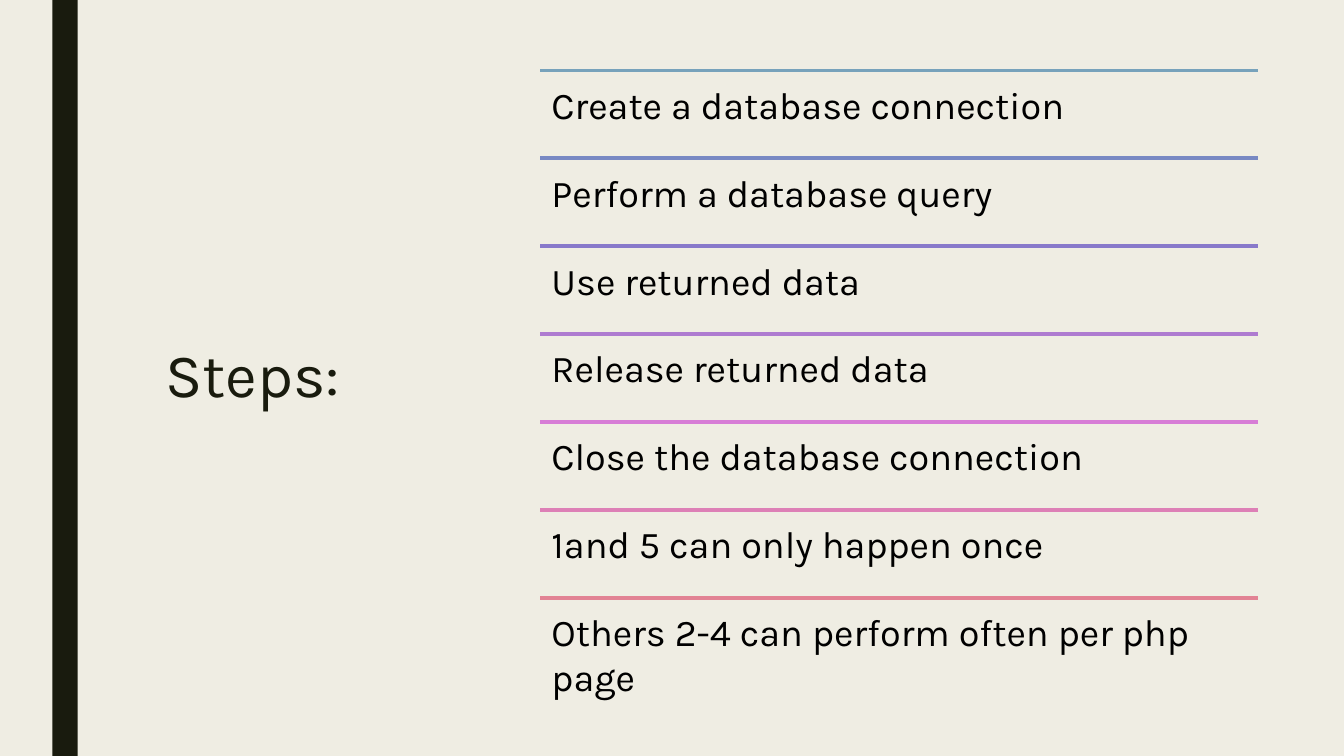
import dataclasses

import lxml.etree
import pptx
import pptx.dml.color
import pptx.enum.shapes
import pptx.enum.text
import pptx.oxml.ns
import pptx.util

Inches = pptx.util.Inches

COLOURS = {
    "background": "EFEDE3",
    "dark": "191B0E",
    "text": "000000",
    "blue": "77A2BB",
    "indigo": "7889C3",
    "violet": "8879CA",
    "purple": "AE7BD0",
    "orchid": "D77DD6",
    "pink": "DD80B6",
    "coral": "E28394",
}
FONT = "Karla"
LIST_LEFT, LIST_TOP, LIST_WIDTH, LIST_HEIGHT = 5.36, 0.7, 7.12, 6.1


@dataclasses.dataclass
class Step:
    text: str
    colour: str


STEPS = [
    Step("Create a database connection", "blue"),
    Step("Perform a database query", "indigo"),
    Step("Use returned data", "violet"),
    Step("Release returned data", "purple"),
    Step("Close the database connection", "orchid"),
    Step("1and 5 can only happen once", "pink"),
    Step("Others 2-4 can perform often per php page", "coral"),
]


def rgb(name: str) -> pptx.dml.color.RGBColor:
    return pptx.dml.color.RGBColor.from_string(COLOURS[name])


def write_text(shape, text: str, *, size: float, colour: str, align, anchor,
               inset: float, line_spacing: float = 1.0) -> None:
    frame = shape.text_frame
    frame.word_wrap = True
    frame.auto_size = pptx.enum.text.MSO_AUTO_SIZE.NONE
    frame.vertical_anchor = anchor
    frame.margin_left = frame.margin_right = Inches(inset)
    frame.margin_top = frame.margin_bottom = Inches(inset)
    paragraph = frame.paragraphs[0]
    paragraph.alignment = align
    paragraph.line_spacing = line_spacing
    run = paragraph.add_run()
    run.text = text
    run.font.name = FONT
    run.font.size = pptx.util.Pt(size)
    run.font.color.rgb = rgb(colour)


def add_side_bar(slide) -> None:
    bar = slide.shapes.add_shape(
        pptx.enum.shapes.MSO_SHAPE.RECTANGLE,
        Inches(0.52), Inches(0), Inches(0.25), Inches(7.5))
    bar.shadow.inherit = False
    bar.fill.solid()
    bar.fill.fore_color.rgb = rgb("dark")
    bar.line.fill.background()


def add_title(slide, text: str) -> None:
    title = slide.shapes.title
    title.left, title.top = Inches(0.7), Inches(0.7)
    title.width, title.height = Inches(3.61), Inches(6.1)
    write_text(title, text, size=44, colour="dark", inset=0.1, line_spacing=0.89,
               align=pptx.enum.text.PP_ALIGN.CENTER,
               anchor=pptx.enum.text.MSO_ANCHOR.MIDDLE)


def add_step(slide, step: Step, top: float, height: float) -> None:
    # Coloured rule above the step
    rule = slide.shapes.add_connector(
        pptx.enum.shapes.MSO_CONNECTOR.STRAIGHT,
        Inches(LIST_LEFT), Inches(top), Inches(LIST_LEFT + LIST_WIDTH), Inches(top))
    rule.line.color.rgb = rgb(step.colour)
    rule.line.width = pptx.util.Pt(2.75)
    lxml.etree.SubElement(rule._element.spPr, pptx.oxml.ns.qn("a:effectLst"))

    # Step wording
    box = slide.shapes.add_textbox(
        Inches(LIST_LEFT), Inches(top), Inches(LIST_WIDTH), Inches(height))
    write_text(box, step.text, size=27, colour="text", inset=0.11,
               align=pptx.enum.text.PP_ALIGN.LEFT,
               anchor=pptx.enum.text.MSO_ANCHOR.TOP)


def main() -> None:
    presentation = pptx.Presentation()
    presentation.slide_width = Inches(13.33)
    presentation.slide_height = Inches(7.5)
    slide = presentation.slides.add_slide(presentation.slide_layouts[5])
    slide.background.fill.solid()
    slide.background.fill.fore_color.rgb = rgb("background")

    add_side_bar(slide)
    add_title(slide, "Steps:")

    # Steps share the list height equally
    row_height = LIST_HEIGHT / len(STEPS)
    for index, step in enumerate(STEPS):
        add_step(slide, step, LIST_TOP + index * row_height, row_height)

    presentation.save("out.pptx")


if __name__ == "__main__":
    main()
